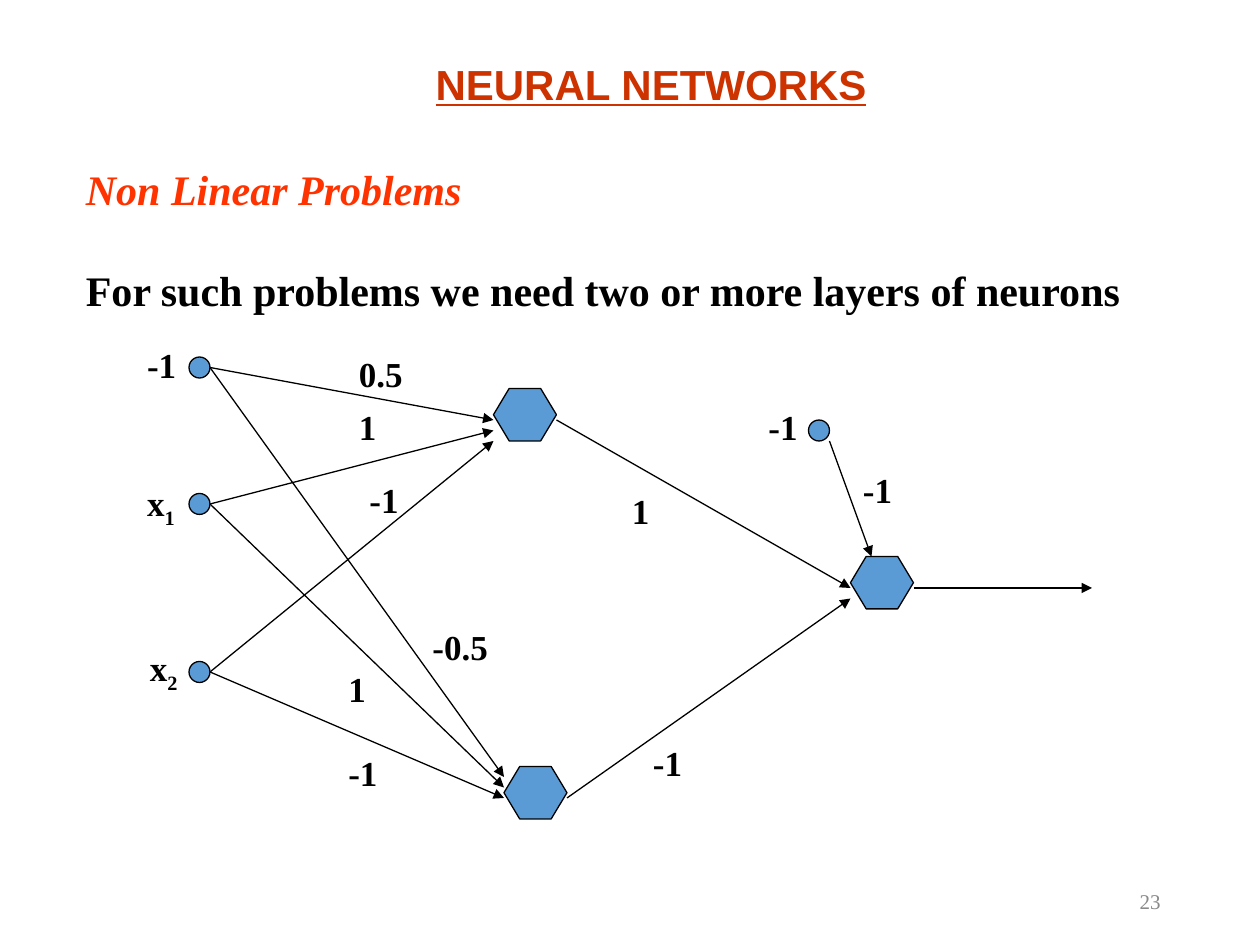
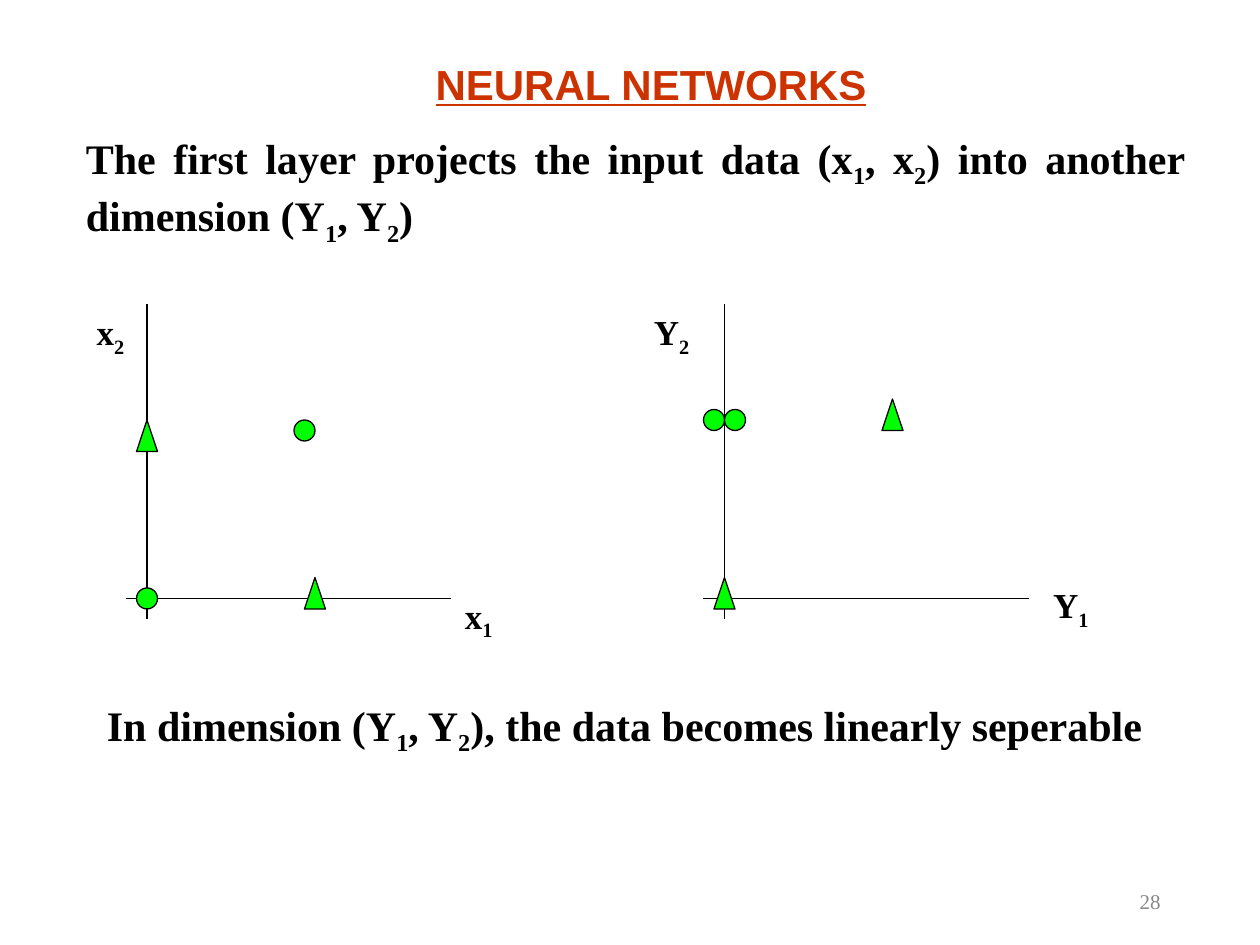
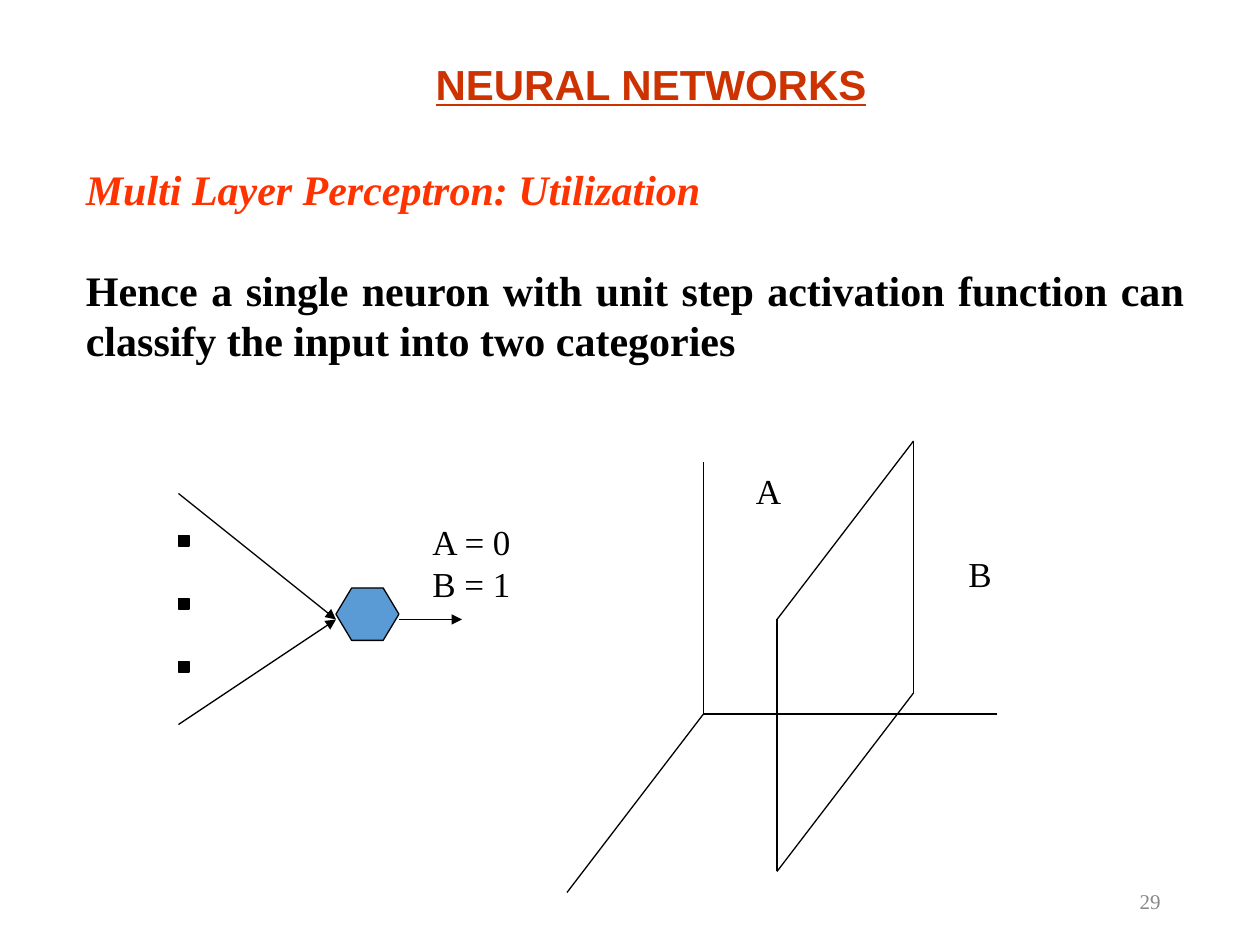
from dataclasses import dataclass

from lxml import etree
from pptx import Presentation
from pptx.dml.color import RGBColor
from pptx.enum.shapes import MSO_CONNECTOR, MSO_SHAPE
from pptx.enum.text import MSO_ANCHOR, MSO_AUTO_SIZE, PP_ALIGN
from pptx.oxml.ns import qn
from pptx.util import Pt

STRAIGHT = MSO_CONNECTOR.STRAIGHT
CIRCLE = MSO_SHAPE.OVAL
HEXAGON = MSO_SHAPE.HEXAGON
TRIANGLE = MSO_SHAPE.ISOSCELES_TRIANGLE
SQUARE = MSO_SHAPE.RECTANGLE
TOP, MIDDLE = MSO_ANCHOR.TOP, MSO_ANCHOR.MIDDLE
LEFT, CENTER, RIGHT, JUSTIFY = PP_ALIGN.LEFT, PP_ALIGN.CENTER, PP_ALIGN.RIGHT, PP_ALIGN.JUSTIFY
FIT_SHAPE, FIXED = MSO_AUTO_SIZE.SHAPE_TO_FIT_TEXT, MSO_AUTO_SIZE.NONE


@dataclass(frozen=True)
class Theme:
    """Colours, fonts, type sizes and weights shared by all slides."""

    ink: str = "000000"
    title: str = "CC3300"
    heading: str = "FF3300"
    number: str = "898989"
    neuron: str = "5B9BD5"
    sample: str = "00FF00"
    title_font: str = "Arial"
    body_font: str = "Times New Roman"
    body_size: float = 24
    label_size: float = 20
    number_size: float = 12
    line_width: float = 0.75
    heading_gap: float = 28.8


class SlideBuilder:
    """Draws styled elements on the current slide."""

    def __init__(self, deck, theme):
        """Keep the deck and its theme."""
        self.deck = deck
        self.theme = theme
        self.page = None

    def start(self, number):
        """Open a slide with the shared title and page number."""
        theme = self.theme
        self.page = self.deck.slides.add_slide(self.deck.slide_layouts[6])
        box = self.text_box(508.3, 500.4, 162, 28.8, FIXED)
        box.text_frame.vertical_anchor = MIDDLE
        self.fill_para(box.text_frame.paragraphs[0], str(number), theme.number_size, theme.number, RIGHT, bold=False)
        box = self.text_box(90, 30, 564, 36)
        para = box.text_frame.paragraphs[0]
        self.fill_para(para, "NEURAL NETWORKS", theme.body_size, theme.title, CENTER, font=theme.title_font)
        para.runs[0].font.underline = True

    def text_box(self, left, top, width, height, fit=FIT_SHAPE, wrap=True):
        """Add an empty text box."""
        box = self.page.shapes.add_textbox(Pt(left), Pt(top), Pt(width), Pt(height))
        box.text_frame.word_wrap = wrap
        box.text_frame.auto_size = fit
        box.text_frame.vertical_anchor = TOP
        return box

    def fill_para(self, para, text, size, color, align, bold=True, italic=False, font=None):
        """Fill a paragraph, lowering each character after an underscore."""
        para.alignment = align
        first, *rest = text.split("_")
        pieces = [(first, False)]
        for part in rest:
            pieces += [(part[0], True), (part[1:], False)]
        for piece, lowered in pieces:
            if not piece:
                continue
            span = para.add_run()
            span.text = piece
            span.font.name = font or self.theme.body_font
            span.font.size = Pt(size)
            span.font.bold = bold
            span.font.italic = italic
            span.font.color.rgb = RGBColor.from_string(color)
            if lowered:
                span._r.get_or_add_rPr().set("baseline", "-25000")

    def body(self, text, left, top, height, heading=None):
        """Add justified body text, under a heading if there is one."""
        theme = self.theme
        frame = self.text_box(left, top, 642, height).text_frame
        para = frame.paragraphs[0]
        if heading:
            self.fill_para(para, heading, theme.body_size, theme.heading, JUSTIFY, italic=True)
            para = frame.add_paragraph()
            para.space_before = Pt(theme.heading_gap)
        self.fill_para(para, text, theme.body_size, theme.ink, JUSTIFY)

    def label(self, left, top, width, *lines, bold=True):
        """Add a diagram label of one or more lines."""
        frame = self.text_box(left, top, width, 7.2 + 24.5 * len(lines), wrap=False).text_frame
        for index, text in enumerate(lines):
            para = frame.add_paragraph() if index else frame.paragraphs[0]
            self.fill_para(para, text, self.theme.label_size, self.theme.ink, LEFT, bold)

    def shape(self, kind, left, top, width, height, color):
        """Add an outlined preset shape."""
        shape = self.page.shapes.add_shape(kind, Pt(left), Pt(top), Pt(width), Pt(height))
        shape.shadow.inherit = False
        shape.fill.solid()
        shape.fill.fore_color.rgb = RGBColor.from_string(color)
        shape.line.color.rgb = RGBColor.from_string(self.theme.ink)
        shape.line.width = Pt(self.theme.line_width)
        return shape

    def dot(self, left, top, color):
        """Add a small circle."""
        self.shape(CIRCLE, left, top, 12, 12, color)

    def triangle(self, left, top):
        """Add a triangular sample."""
        self.shape(TRIANGLE, left, top, 12, 18, self.theme.sample)

    def neuron(self, left, top):
        """Add a hexagonal neuron."""
        self.shape(HEXAGON, left, top, 36, 30, self.theme.neuron).adjustments[0] = 0.3

    def line(self, start, end, arrow=False, group=None):
        """Add a straight line, with an arrowhead at its end if asked."""
        shapes = group.shapes if group else self.page.shapes
        line = shapes.add_connector(STRAIGHT, *(Pt(value) for value in (*start, *end)))
        line.line.color.rgb = RGBColor.from_string(self.theme.ink)
        line.line.width = Pt(self.theme.line_width)
        properties = line.line._get_or_add_ln()
        if arrow:
            etree.SubElement(properties, qn("a:tailEnd"), type="triangle")
        properties.addnext(etree.Element(qn("a:effectLst")))

    def axes(self, origin_x):
        """Add a grouped pair of plot axes."""
        group = self.page.shapes.add_group_shape()
        self.line((origin_x, 174), (origin_x, 354), group=group)
        self.line((origin_x - 12, 342), (origin_x + 174, 342), group=group)


def network_slide(builder):
    """Build the two-layer network slide."""
    builder.start(23)
    builder.body("For such problems we need two or more layers of neurons", 42, 90, 93.6, "Non Linear Problems")
    for left, top in ((282, 222), (288, 438), (486, 318)):
        builder.neuron(left, top)
    for index, center in enumerate((210, 288, 384)):
        builder.dot(108, center - 6, builder.theme.neuron)
        builder.line((120, center), (282, 240 + 6 * index), arrow=True)
        builder.line((120, center), (288, 444 + 6 * index), arrow=True)
    builder.dot(462, 240, builder.theme.neuron)
    for start, end in (
        ((474, 252), (498, 318)),
        ((318, 240), (486, 336)),
        ((324, 456), (486, 342)),
        ((522, 336), (624, 336)),
    ):
        builder.line(start, end, arrow=True)
    for left, top, width, text in (
        (77, 193, 31, "-1"),
        (77, 271.5, 30.2, "x_1"),
        (78.5, 366, 30.2, "x_2"),
        (432, 228, 31, "-1"),
        (198, 198, 39.6, "0.5"),
        (198, 228, 24.4, "1"),
        (204, 270, 31, "-1"),
        (240, 354, 46, "-0.5"),
        (192, 378, 24.4, "1"),
        (192, 426, 31, "-1"),
        (354, 276, 24.4, "1"),
        (366, 420, 31, "-1"),
        (486, 264, 31, "-1"),
    ):
        builder.label(left, top, width, text)


def projection_slide(builder):
    """Build the slide comparing the two dimensions."""
    builder.start(28)
    builder.body(
        "The first layer projects the input data (x_1, x_2) into another dimension (Y_1, Y_2)", 42, 72, 72.7
    )
    for origin_x in (84, 414):
        builder.axes(origin_x)
    for left, top in ((168, 240), (78, 336), (402, 234), (414, 234)):
        builder.dot(left, top, builder.theme.sample)
    for left, top in ((174, 330), (78, 240), (408, 330), (504, 228)):
        builder.triangle(left, top)
    for left, top, width, text in (
        (48.2, 174, 30.2, "x_2"),
        (258.5, 336, 30.2, "x_1"),
        (366.5, 174, 34.6, "Y_2"),
        (594.7, 330, 34.6, "Y_1"),
    ):
        builder.label(left, top, width, text)
    builder.body("In dimension (Y_1, Y_2), the data becomes linearly seperable", 54, 396, 40.3)


def perceptron_slide(builder):
    """Build the slide on classifying into two categories."""
    builder.start(29)
    builder.body(
        "Hence a single neuron with unit step activation function can classify the input into two categories",
        42,
        90,
        122.4,
        "Multi Layer Perceptron: Utilization",
    )
    builder.neuron(192, 336)
    for input_y in (282, 414):
        builder.line((102, input_y), (192, 354), arrow=True)
    for top in (306, 342, 378):
        builder.shape(SQUARE, 102, top, 6, 6, builder.theme.ink)
    builder.line((228, 354), (264, 354), arrow=True)
    for axis_end in ((402, 264), (570, 408), (324, 510)):
        builder.line((402, 408), axis_end)
    plane = builder.page.shapes.add_group_shape()
    corners = [(522, 252), (444, 354), (444, 498), (522, 396)]
    for start, end in zip(corners, corners[1:] + corners[:1]):
        builder.line(start, end, group=plane)
    builder.label(424.8, 265, 28.8, "A", bold=False)
    builder.label(546.2, 312, 27.4, "B", bold=False)
    builder.label(240, 294, 59.8, "A = 0", "B = 1", bold=False)


def main():
    """Build and save the deck."""
    deck = Presentation()
    deck.slide_width, deck.slide_height = Pt(720), Pt(540)
    builder = SlideBuilder(deck, Theme())
    network_slide(builder)
    projection_slide(builder)
    perceptron_slide(builder)
    deck.save("out.pptx")


if __name__ == "__main__":
    main()
